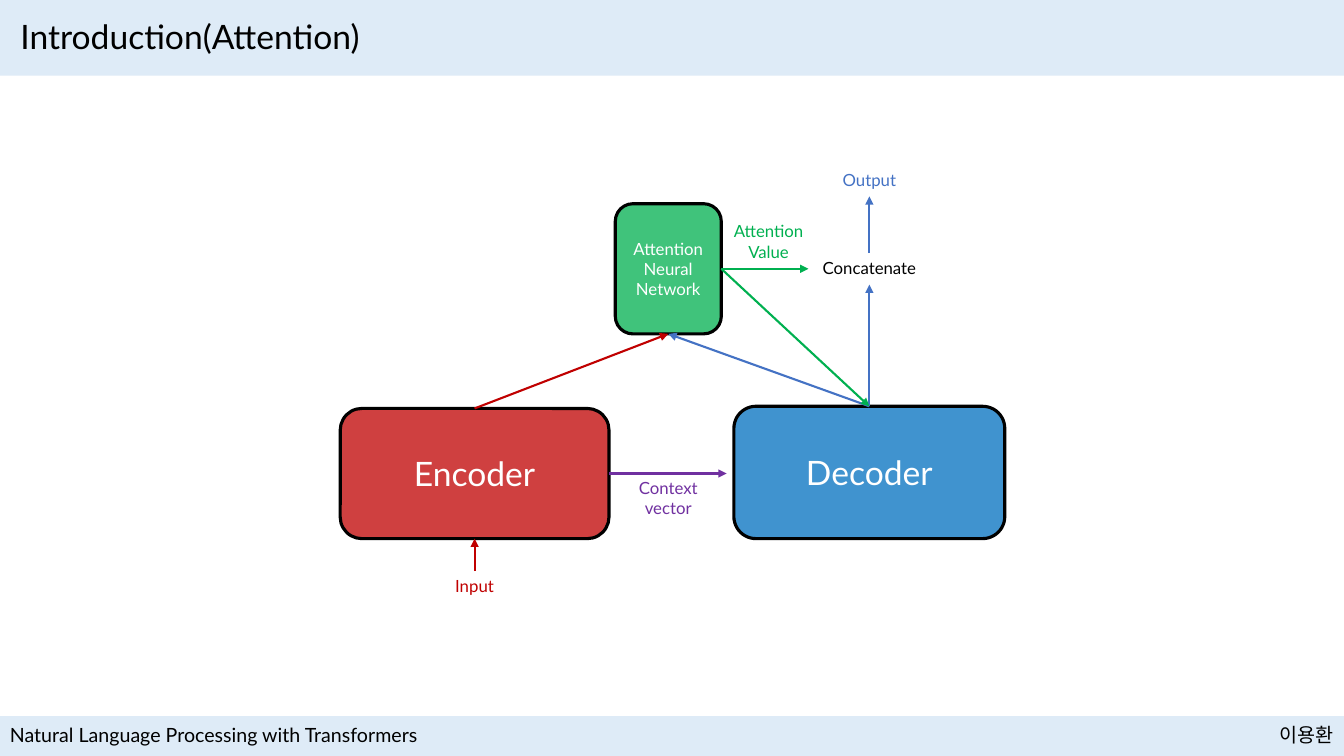
from lxml import etree
from pptx import Presentation
from pptx.dml.color import RGBColor
from pptx.enum.shapes import MSO_CONNECTOR, MSO_SHAPE
from pptx.enum.text import MSO_ANCHOR, MSO_AUTO_SIZE, PP_ALIGN
from pptx.oxml.ns import qn
from pptx.util import Pt

EMU_PER_PX = 9525
PAGE_WIDTH, PAGE_HEIGHT = 1280, 720
FONT = "Lato"
RECT, ROUNDED = MSO_SHAPE.RECTANGLE, MSO_SHAPE.ROUNDED_RECTANGLE
STRAIGHT = MSO_CONNECTOR.STRAIGHT
LEFT, CENTER, RIGHT = PP_ALIGN.LEFT, PP_ALIGN.CENTER, PP_ALIGN.RIGHT
TOP, MIDDLE = MSO_ANCHOR.TOP, MSO_ANCHOR.MIDDLE
GROW, FIXED = MSO_AUTO_SIZE.SHAPE_TO_FIT_TEXT, MSO_AUTO_SIZE.NONE
TOP_SIDE, LEFT_SIDE, BOTTOM_SIDE, RIGHT_SIDE = range(4)
BLACK, WHITE, BAND = "000000", "FFFFFF", "DEEBF7"
RED, GREEN, BLUE, PURPLE = "C00000", "00B050", "4472C4", "7030A0"
DECODER_BLUE = "0070C0"


def px(*lengths):
    """Turn pixel lengths into EMU."""
    return [length * EMU_PER_PX for length in lengths]


def color(hex_string):
    """Turn a hex string into a colour."""
    return RGBColor.from_string(hex_string)


def within(box, left, top, width, height):
    """Shift a relative rectangle by the corner of its box."""
    return box[0] + left, box[1] + top, width, height


def write(shape, lines, size, text_color, align=CENTER, anchor=TOP, fit=GROW, spacing=1.0):
    """Fill a shape with one formatted paragraph per line."""
    frame = shape.text_frame
    frame_format = {"word_wrap": True, "auto_size": fit, "vertical_anchor": anchor}
    for name, value in frame_format.items():
        setattr(frame, name, value)
    for index, line in enumerate(lines):
        para = frame.add_paragraph() if index else frame.paragraphs[0]
        para.alignment, para.line_spacing = align, spacing
        span = para.add_run()
        span.text = line
        span.font.color.rgb = color(text_color)
        for name, value in {"name": FONT, "size": Pt(size)}.items():
            setattr(span.font, name, value)


def add_label(page, area, lines, size, text_color, **text_format):
    """Add a text box and return it."""
    label = page.shapes.add_textbox(*px(*area))
    write(label, lines, size, text_color, **text_format)
    return label


def add_band(page, area):
    """Add a plain tinted band."""
    band = page.shapes.add_shape(RECT, *px(*area))
    band.shadow.inherit = False
    band.fill.solid()
    band.fill.fore_color.rgb = color(BAND)
    band.line.fill.background()


def add_block(page, area, lines, size, fill):
    """Add a translucent rounded block with a black outline."""
    block = page.shapes.add_shape(ROUNDED, *px(*area))
    block.shadow.inherit = False
    block.fill.solid()
    block.fill.fore_color.rgb = color(fill)
    fill_color = block.element.spPr.find(qn("a:solidFill"))[0]
    etree.SubElement(fill_color, qn("a:alpha"), val="75000")
    block.line.color.rgb = color(BLACK)
    block.line.width = Pt(2.25)
    write(block, lines, size, WHITE, anchor=MIDDLE, fit=FIXED)
    return block


def add_arrow(page, line_color, start=None, end=None, point=(0, 0)):
    """Draw an arrow between shape sides, with a free end at the point."""
    arrow = page.shapes.add_connector(STRAIGHT, *px(*point, *point))
    if start:
        arrow.begin_connect(*start)
    if end:
        arrow.end_connect(*end)
    arrow.line.color.rgb = color(line_color)
    arrow.line.width = Pt(1.5)
    etree.SubElement(arrow.line._get_or_add_ln(), qn("a:tailEnd"), type="triangle")
    etree.SubElement(arrow.element.spPr, qn("a:effectLst"))


def add_header(page, box):
    """Add the top band and the slide title."""
    add_band(page, box)
    add_label(page, within(box, 10, 10, 1261, 53), ["Introduction(Attention)"], 24, BLACK,
              align=LEFT, anchor=MIDDLE, fit=FIXED, spacing=0.9)


def add_footer(page, box):
    """Add the bottom band with the book title and the presenter."""
    add_band(page, box)
    add_label(page, within(box, 0, 2, 432, 33),
              ["Natural Language Processing with Transformers"], 14, BLACK, align=LEFT)
    add_label(page, within(box, box[2] - 88, 2, 88, 33), ["이용환"], 14, BLACK, align=RIGHT)


def add_diagram(page, box):
    """Add the encoder, decoder and attention blocks with their flows."""
    def block(area, *block_format):
        return add_block(page, within(box, *area), *block_format)

    def label(area, lines, text_color):
        return add_label(page, within(box, *area), lines, 12, text_color)

    encoder = block((0, 232, 256, 124), ["Encoder"], 24, RED)
    decoder = block((375, 230, 258, 126), ["Decoder"], 24, DECODER_BLUE)
    attention = block((262, 37, 101, 124), ["Attention", "Neural", "Network"], 12, GREEN)
    source = label((97, 387, 62, 30), ["Input"], RED)
    output = label((465, 0, 78, 30), ["Output"], BLUE)
    concatenate = label((446, 84, 116, 30), ["Concatenate"], BLACK)
    label((274, 293, 77, 48), ["Context", "vector"], PURPLE)
    label((363, 49, 90, 48), ["Attention", "Value"], GREEN)

    add_arrow(page, PURPLE, (encoder, RIGHT_SIDE), point=(box[0] + 368, box[1] + 294))
    flows = [
        (RED, (source, TOP_SIDE), (encoder, BOTTOM_SIDE)),
        (BLUE, (decoder, TOP_SIDE), (concatenate, BOTTOM_SIDE)),
        (BLUE, (decoder, TOP_SIDE), (attention, BOTTOM_SIDE)),
        (RED, (encoder, TOP_SIDE), (attention, BOTTOM_SIDE)),
        (GREEN, (attention, RIGHT_SIDE), (concatenate, LEFT_SIDE)),
        (BLUE, (concatenate, TOP_SIDE), (output, BOTTOM_SIDE)),
        (GREEN, (attention, RIGHT_SIDE), (decoder, TOP_SIDE)),
    ]
    for flow in flows:
        add_arrow(page, *flow)


def main():
    """Build the deck and save it."""
    deck = Presentation()
    deck.slide_width, deck.slide_height = px(PAGE_WIDTH, PAGE_HEIGHT)
    page = deck.slides.add_slide(deck.slide_layouts[6])
    add_header(page, (0, 0, PAGE_WIDTH, 72))
    add_footer(page, (0, 682, PAGE_WIDTH, 38))
    add_diagram(page, (324, 157, 633, 417))
    deck.save("out.pptx")


if __name__ == "__main__":
    main()
